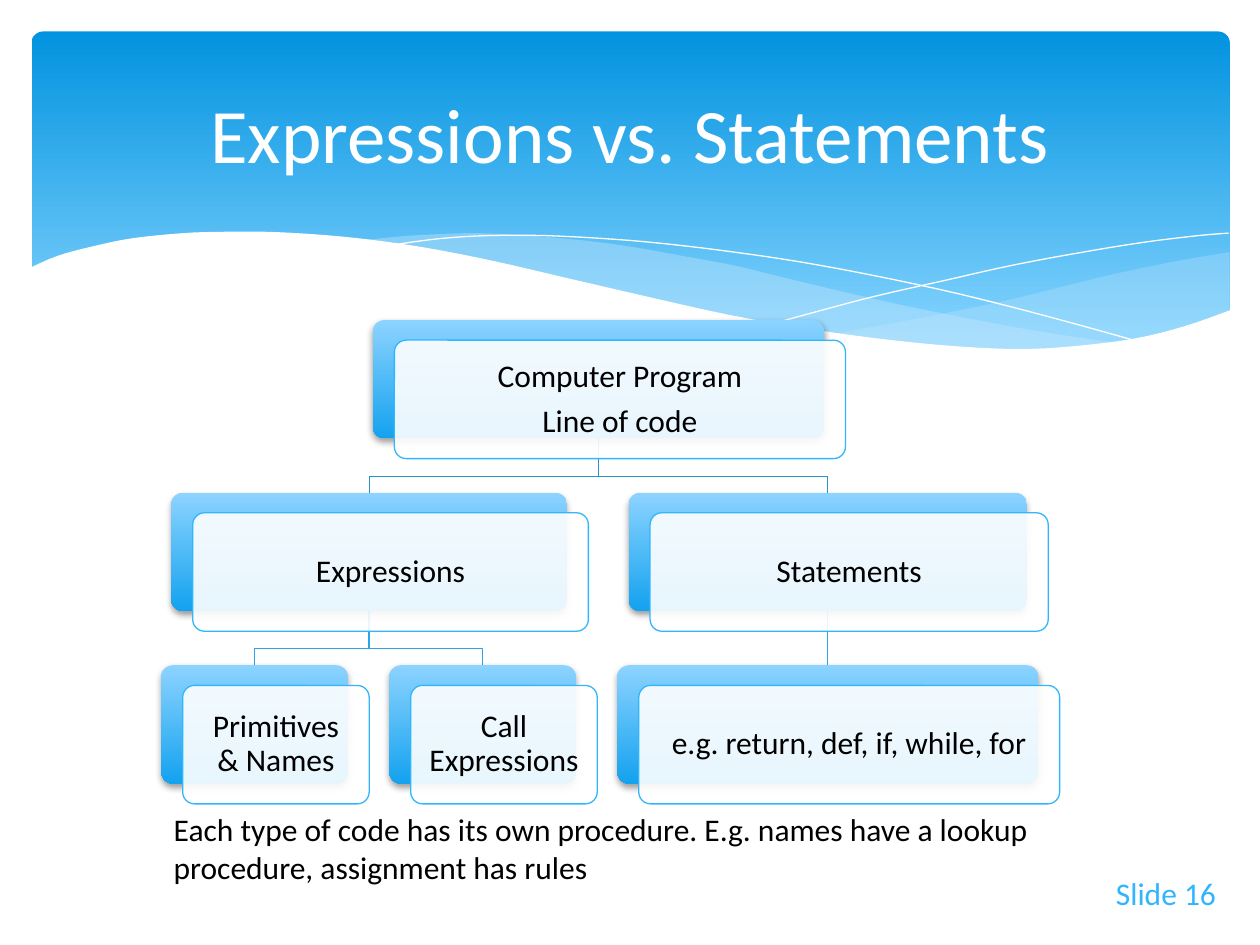
from dataclasses import dataclass

from lxml.etree import SubElement
from pptx import Presentation
from pptx.dml.color import RGBColor
from pptx.enum.shapes import MSO_CONNECTOR as Connector, MSO_SHAPE as Preset
from pptx.enum.text import MSO_ANCHOR as Anchor, MSO_AUTO_SIZE as AutoSize, PP_ALIGN as Align
from pptx.oxml.ns import qn
from pptx.util import Inches, Pt


@dataclass(frozen=True)
class Theme:
    """Colours, type sizes and font of the slide."""
    font: str = "Calibri"
    title_size: int = 44
    body_size: int = 18
    white: str = "FFFFFF"
    black: str = "000000"
    accent: str = "31B6FD"
    wave: str = "C6E7FC"
    top_link: str = "2792CB"
    lower_link: str = "2CA5E6"
    banner: tuple = ((0, "0293E0"), (0.9, "83D3FE"))
    card: tuple = ((0, "8CD3FF"), (1, "14A2EF"))


THEME = Theme()
CARD_HEIGHT, ROW_TOP, ROW_STEP = 0.94, 2.54, 1.37
SHIFT_X, SHIFT_Y = 0.17, 0.16
BEND_DROP = 0.3

# name: (row, left, width, parent, lines)
CARDS = {
    "program": (0, 2.96, 3.58, None, ["Computer Program", "Line of code"]),
    "expressions": (1, 1.36, 3.14, "program", ["Expressions"]),
    "primitives": (2, 1.28, 1.48, "expressions", ["Primitives & Names"]),
    "calls": (2, 3.09, 1.48, "expressions", ["Call Expressions"]),
    "statements": (1, 4.99, 3.16, "program", ["Statements"]),
    "examples": (2, 4.9, 3.34, "statements", ["e.g. return, def, if, while, for"]),
}

RIGHT_WAVE_TOP = [(9.76, 2), (9.35, 2.07), (8.91, 2.16), (8.61, 2.23), (8.05, 2.37),
                  (7.53, 2.48), (7.06, 2.57), (6.61, 2.65)]
RIGHT_WAVE_BOTTOM = [(6.61, 2.65), (7.05, 2.71), (7.45, 2.75), (7.81, 2.77), (8.14, 2.78),
                     (8.54, 2.76), (8.89, 2.72), (9.21, 2.65), (9.49, 2.57), (9.76, 2.47)]
LONG_WAVE_TOP = [(8.93, 2.73), (8.37, 2.65), (7.75, 2.54), (7.06, 2.4), (6.29, 2.22),
                 (5.84, 2.11), (5.41, 2.03), (5.02, 1.96), (4.65, 1.91), (4.2, 1.87),
                 (3.8, 1.85), (3.44, 1.86), (3.13, 1.88), (2.86, 1.91)]
LONG_WAVE_BOTTOM = [(2.86, 1.91), (3.42, 1.99), (4.04, 2.11), (4.49, 2.22), (5.3, 2.4),
                    (5.84, 2.52), (6.34, 2.61), (6.8, 2.68), (7.22, 2.74), (7.61, 2.77),
                    (7.96, 2.78), (8.28, 2.78), (8.57, 2.77), (8.93, 2.73)]
FALLING_LINE = [(3.09, 1.95), (3.28, 1.92), (3.53, 1.89), (3.87, 1.87), (4.33, 1.87),
                (4.89, 1.9), (5.33, 1.94), (5.82, 2), (6.36, 2.08), (6.95, 2.19),
                (7.6, 2.33), (8.31, 2.51), (9.07, 2.72)]
RISING_LINE = [(6.13, 2.57), (6.53, 2.46), (6.95, 2.35), (7.48, 2.23), (8.06, 2.1),
               (8.66, 1.99), (9.1, 1.92), (9.51, 1.87), (9.75, 1.85)]
FRONT_WAVE = [(9.77, 2.46), (9.4, 2.59), (8.99, 2.69), (8.5, 2.75), (8.09, 2.77),
              (7.61, 2.75), (7.08, 2.7), (6.48, 2.62), (5.79, 2.5), (5.03, 2.33),
              (4.47, 2.2), (3.91, 2.07), (3.4, 1.97), (2.92, 1.9), (2.5, 1.86),
              (2.11, 1.84), (1.77, 1.84), (1.46, 1.85), (1.06, 1.89), (0.76, 1.95),
              (0.46, 2.03), (0.23, 2.13)]


def smooth(knots, steps=4):
    """Return points on a Catmull-Rom curve through the knots."""
    padded = [knots[0], *knots, knots[-1]]
    points = [knots[0]]
    for a, b, c, d in zip(padded, padded[1:], padded[2:], padded[3:]):
        for step in range(1, steps + 1):
            t = step / steps
            points.append(tuple(
                0.5 * (2 * q + (r - p) * t + (2 * p - 5 * q + 4 * r - s) * t ** 2
                       + (3 * q - p - 3 * r + s) * t ** 3)
                for p, q, r, s in zip(a, b, c, d)))
    return points


def paint(shape, fill=None, opacity=100, line=None, width=0.75):
    """Set a solid or gradient fill and an outline, with no shadow."""
    shape.shadow.inherit = False
    if fill is None:
        shape.fill.background()
    elif isinstance(fill, str):
        shape.fill.solid()
        shape.fill.fore_color.rgb = RGBColor.from_string(fill)
    else:
        shape.fill.gradient()
        shape.fill.gradient_angle = 270
        for stop, (position, color) in zip(shape.fill.gradient_stops, fill):
            stop.position = position
            stop.color.rgb = RGBColor.from_string(color)
    if opacity < 100:
        color_node = shape.element.spPr.find(".//" + qn("a:srgbClr"))
        SubElement(color_node, qn("a:alpha"), val=str(opacity * 1000))
    if line is None:
        shape.line.fill.background()
    else:
        shape.line.color.rgb = RGBColor.from_string(line)
        shape.line.width = Pt(width)


def add_outline(slide, points, closed=True, **style):
    """Draw a freeform through points given in inches."""
    start, *rest = [(Inches(x), Inches(y)) for x, y in points]
    builder = slide.shapes.build_freeform(*start)
    builder.add_line_segments(rest, close=closed)
    paint(builder.convert_to_shape(), **style)


def add_round_box(slide, box, radius, **style):
    """Add a rounded rectangle."""
    shape = slide.shapes.add_shape(Preset.ROUNDED_RECTANGLE, *map(Inches, box))
    shape.adjustments[0] = radius
    paint(shape, **style)
    return shape


def add_soft_shadow(shape):
    """Put a faint shadow straight below a shape."""
    effects = shape.element.spPr.find(qn("a:effectLst"))
    shadow = SubElement(effects, qn("a:outerShdw"), blurRad=str(Pt(4)), dist=str(Pt(2)),
                        dir="5400000", rotWithShape="0")
    color = SubElement(shadow, qn("a:srgbClr"), val=THEME.black)
    SubElement(color, qn("a:alpha"), val="38000")


def write(frame, lines, color=THEME.black, size=THEME.body_size, frame_format=None, **paragraph_format):
    """Fill a text frame with formatted paragraphs."""
    for name, value in {"word_wrap": True, **(frame_format or {})}.items():
        setattr(frame, name, value)
    frame.text = "\n".join(lines)
    for paragraph in frame.paragraphs:
        for name, value in paragraph_format.items():
            setattr(paragraph, name, value)
        for run in paragraph.runs:
            for name, value in {"name": THEME.font, "size": Pt(size)}.items():
                setattr(run.font, name, value)
            run.font.color.rgb = RGBColor.from_string(color)


def add_label(slide, box, text, **style):
    """Add a text box that fits its text."""
    frame = slide.shapes.add_textbox(*map(Inches, box)).text_frame
    write(frame, [text], frame_format={"auto_size": AutoSize.SHAPE_TO_FIT_TEXT}, **style)


def add_banner(slide):
    """Draw the blue banner and its waves."""
    add_round_box(slide, (0.25, 0.25, 9.51, 2.7), 0.034, fill=THEME.banner)
    add_outline(slide, smooth(RIGHT_WAVE_TOP) + smooth(RIGHT_WAVE_BOTTOM), fill=THEME.wave, opacity=29)
    add_outline(slide, smooth(LONG_WAVE_TOP) + smooth(LONG_WAVE_BOTTOM), fill=THEME.wave, opacity=40)
    for knots in (FALLING_LINE, RISING_LINE):
        add_outline(slide, smooth(knots), closed=False, line=THEME.white, width=0)
    add_outline(slide, smooth(FRONT_WAVE) + [(0.23, 3.29), (9.77, 3.29)], fill=THEME.white)


def add_title(slide, text):
    """Place the title above the banner."""
    title = slide.shapes.title
    for name, value in zip(("left", "top", "width", "height"), (0.5, 0.37, 9, 1.37)):
        setattr(title, name, Inches(value))
    write(title.text_frame, [text], THEME.white, THEME.title_size,
          {"vertical_anchor": Anchor.MIDDLE}, alignment=Align.CENTER)
    title.element.getparent().append(title.element)


def add_link(slide, parent, child):
    """Join a parent card to a child card."""
    (row, left, width, *_), (_, child_left, child_width, *_) = parent, child
    color = THEME.lower_link if row else THEME.top_link
    x, child_x = left + width / 2, child_left + child_width / 2
    top = ROW_TOP + row * ROW_STEP + CARD_HEIGHT
    bottom = ROW_TOP + (row + 1) * ROW_STEP
    if abs(x - child_x) < 0.02:
        link = slide.shapes.add_connector(Connector.STRAIGHT, *map(Inches, (x, top, x, bottom)))
        link.line.color.rgb = RGBColor.from_string(color)
        link.line.width = Pt(0.75)
        SubElement(link.element.spPr, qn("a:effectLst"))
    else:
        bend = top + BEND_DROP
        add_outline(slide, [(x, top), (x, bend), (child_x, bend), (child_x, bottom)],
                    closed=False, line=color)


def add_card(slide, row, left, width, _, lines):
    """Add a blue card with a shifted white card that holds the text."""
    top = ROW_TOP + row * ROW_STEP
    add_soft_shadow(add_round_box(slide, (left, top, width, CARD_HEIGHT), 0.1, fill=THEME.card))
    front = add_round_box(slide, (left + SHIFT_X, top + SHIFT_Y, width, CARD_HEIGHT), 0.1,
                          fill=THEME.white, opacity=90, line=THEME.accent)
    margins = {f"margin_{side}": Inches(0.1) for side in ("left", "right", "top", "bottom")}
    write(front.text_frame, lines, frame_format={"vertical_anchor": Anchor.MIDDLE, **margins},
          alignment=Align.CENTER, line_spacing=0.9, space_after=Pt(6.3))


def main():
    """Build and save the slide."""
    presentation = Presentation()
    presentation.slide_width, presentation.slide_height = Inches(10), Inches(7.5)
    slide = presentation.slides.add_slide(presentation.slide_layouts[5])
    add_banner(slide)
    add_title(slide, "Expressions vs. Statements")
    add_label(slide, (8.19, 6.89, 1.56, 0.4), "Slide 16", color=THEME.accent, alignment=Align.RIGHT)
    for card in CARDS.values():
        if card[3]:
            add_link(slide, CARDS[card[3]], card)
    for card in CARDS.values():
        add_card(slide, *card)
    add_label(slide, (1.28, 6.38, 7.28, 0.71),
              "Each type of code has its own procedure. E.g. names have a lookup procedure, "
              "assignment has rules")
    presentation.save("out.pptx")


main()
